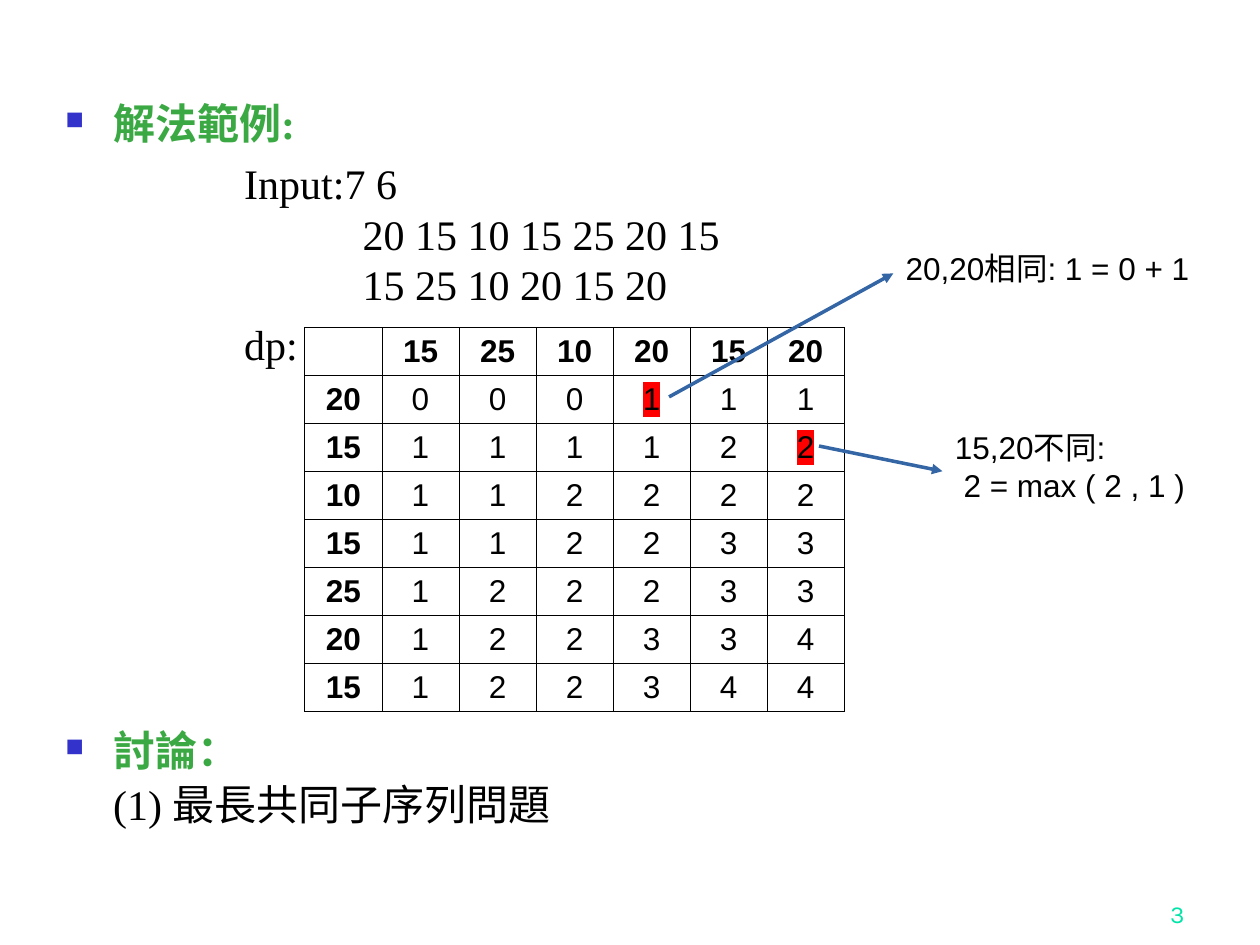
from pptx import Presentation
from pptx.dml.color import RGBColor
from pptx.enum.shapes import MSO_CONNECTOR
from pptx.enum.text import MSO_ANCHOR, PP_ALIGN
from pptx.oxml.ns import qn
from pptx.util import Inches, Pt
from lxml.etree import SubElement, Element

HUES = {"text": "000000", "head": "3BA943", "bullet": "3333CC", "mark": "FF0000",
        "arrow": "3465A4", "page": "00E4A8"}

# Text, left indent (in), space before (pt), heading or not
BODY = [
    ("解法範例:", 0.38, 0, True),
    ("Input:7 6", 1.42, 8.5, False),
    ("20 15 10 15 25 20 15", 2.36, 2.8, False),
    ("15 25 10 20 15 20", 2.36, 2.8, False),
    ("dp:", 1.42, 8.5, False),
    ("討論：", 0.38, 206, True),  # leaves room for the table
    ("(1) 最長共同子序列問題", 0.38, 4.8, False),
]

TOP = [15, 25, 10, 20, 15, 20]
SIDE = [20, 15, 10, 15, 25, 20, 15]
MARKS = {(1, 4), (2, 6)}


def rgb(name):
    return RGBColor.from_string(HUES[name])


def style(par, font, size, hue="text", bold=False):
    for run in par.runs:
        run.font.name = font
        run.font.size = Pt(size)
        run.font.bold = bold
        run.font.color.rgb = rgb(hue)


def add_text(slide, left, top, width, height, lines):
    box = slide.shapes.add_textbox(Inches(left), Inches(top), Inches(width), Inches(height))
    frame = box.text_frame
    frame.word_wrap = True
    frame.text = "\n".join(lines)
    return frame


def add_bullet(par, indent):
    props = par._p.get_or_add_pPr()
    props.set("indent", str(-Inches(indent)))
    color = SubElement(props, qn("a:buClr"))
    SubElement(color, qn("a:srgbClr"), val=HUES["bullet"])
    SubElement(props, qn("a:buSzPct"), val="60000")
    SubElement(props, qn("a:buChar"), char="■")


def add_body(slide, left, top, width, height):
    frame = add_text(slide, left, top, width, height, [line[0] for line in BODY])
    for par, (_, indent, gap, head) in zip(frame.paragraphs, BODY):
        par._p.get_or_add_pPr().set("marL", str(Inches(indent)))
        if head:
            add_bullet(par, indent)
        par.line_spacing = 0.9
        par.space_before = Pt(gap)
        style(par, "Times New Roman", 24, "head" if head else "text", head)


def add_borders(cell):
    props = cell._tc.get_or_add_tcPr()
    for i, side in enumerate(("lnL", "lnR", "lnT", "lnB")):
        line = Element(qn("a:" + side), w=str(Pt(0.57)))
        fill = SubElement(line, qn("a:solidFill"))
        SubElement(fill, qn("a:srgbClr"), val=HUES["text"])
        props.insert(i, line)


def highlight(run):
    mark = Element(qn("a:highlight"))
    SubElement(mark, qn("a:srgbClr"), val=HUES["mark"])
    run.font._element.find(qn("a:solidFill")).addnext(mark)


def solve():
    """Longest common subsequence lengths, with row and column headings."""
    rows = [[""] + TOP]
    above = [0] * (len(TOP) + 1)
    for num in SIDE:
        row = [0]
        for j, other in enumerate(TOP):
            row.append(above[j] + 1 if num == other else max(above[j + 1], row[j]))
        rows.append([num] + row[1:])
        above = row
    return rows


def add_grid(slide, left, top, width, height):
    rows = solve()
    table = slide.shapes.add_table(len(rows), len(rows[0]), Inches(left), Inches(top),
                                   Inches(width), Inches(height)).table
    table.first_row = table.horz_banding = False
    for i, row in enumerate(rows):
        for j, value in enumerate(row):
            cell = table.cell(i, j)
            cell.text = str(value)
            cell.vertical_anchor = MSO_ANCHOR.MIDDLE
            cell.margin_left = cell.margin_right = Inches(0.04)
            cell.margin_top = cell.margin_bottom = Inches(0.04)
            cell.fill.background()
            add_borders(cell)
            par = cell.text_frame.paragraphs[0]
            par.alignment = PP_ALIGN.CENTER
            style(par, "Arial", 18, bold=i == 0 or j == 0)
            if (i, j) in MARKS:
                highlight(par.runs[0])


def add_note(slide, left, top, width, height, lines, start, end):
    frame = add_text(slide, left, top, width, height, lines)
    for par in frame.paragraphs:
        style(par, "Arial", 18)
    # Arrow from the marked cell to the note
    arrow = slide.shapes.add_connector(MSO_CONNECTOR.STRAIGHT,
                                       *(Inches(n) for n in start + end))
    arrow.line.color.rgb = rgb("arrow")
    arrow.line.width = Pt(0)
    SubElement(arrow.line._get_or_add_ln(), qn("a:tailEnd"), type="triangle")
    SubElement(arrow._element.spPr, qn("a:effectLst"))


def add_page(slide, left, top, width, height):
    frame = add_text(slide, left, top, width, height, ["3"])
    frame.vertical_anchor = MSO_ANCHOR.BOTTOM
    par = frame.paragraphs[0]
    par.alignment = PP_ALIGN.RIGHT
    style(par, "Karla", 14, "page")


def main():
    deck = Presentation()
    deck.slide_width, deck.slide_height = Inches(10), Inches(7.5)
    slide = deck.slides.add_slide(deck.slide_layouts[6])
    add_page(slide, 7.42, 6.92, 2.08, 0.5)
    add_body(slide, 0.42, 0.77, 8.83, 6.15)
    add_grid(slide, 2.42, 2.6, 4.28, 3.05)
    add_note(slide, 7.09, 1.93, 2.76, 0.43, ["20,20相同: 1 = 0 + 1"],
             (5.31, 3.15), (7.09, 2.17))
    add_note(slide, 7.48, 3.35, 2.36, 0.71, ["15,20不同:", " 2 = max ( 2 , 1 )"],
             (6.5, 3.54), (7.48, 3.74))
    deck.save("out.pptx")


if __name__ == "__main__":
    main()
